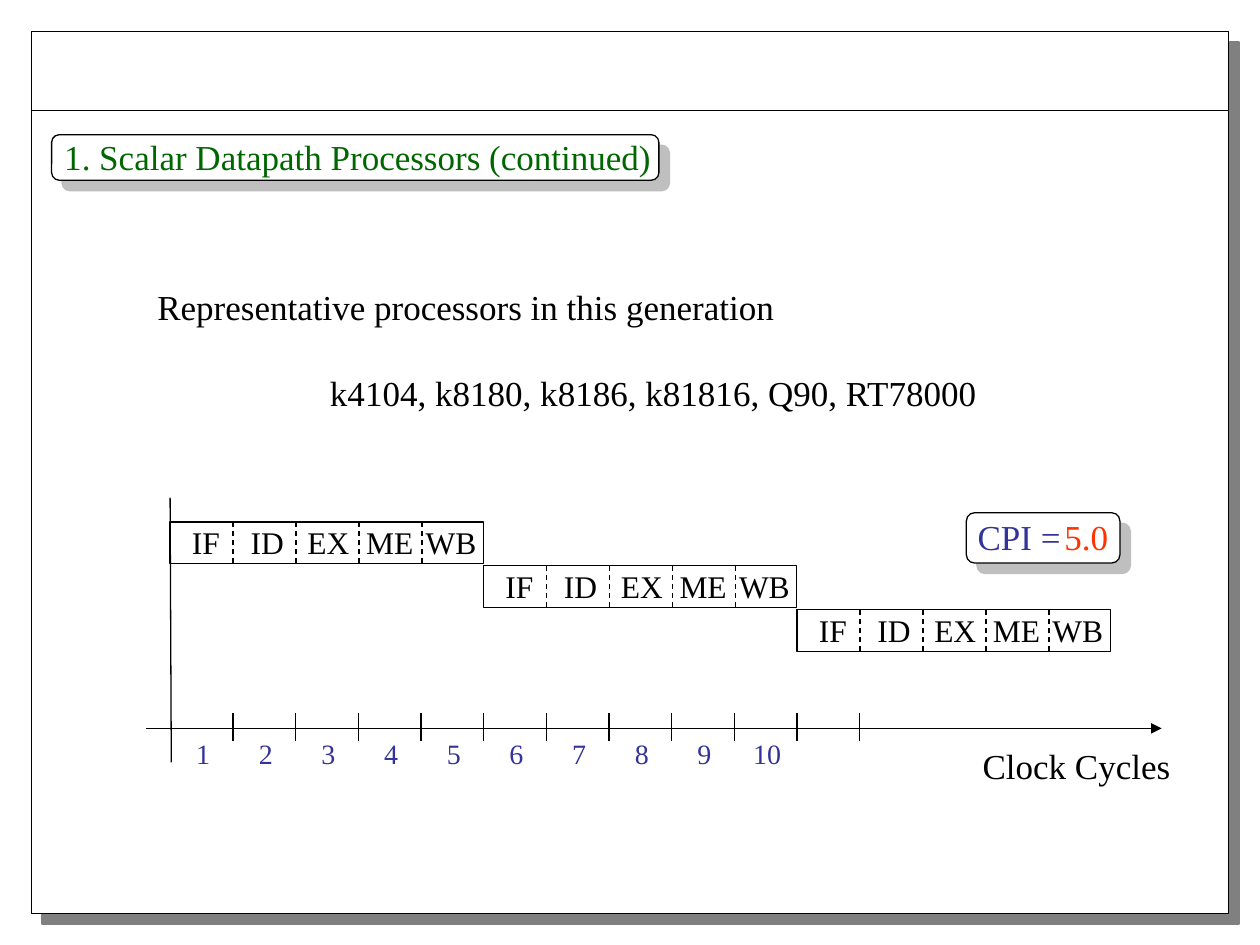
from dataclasses import dataclass

from lxml import etree
from pptx import Presentation
from pptx.dml.color import RGBColor
from pptx.enum import dml, shapes, text
from pptx.oxml import ns
from pptx.util import Pt


@dataclass(frozen=True)
class Theme:
    font: str = "Times New Roman"
    black: str = "000000"
    white: str = "FFFFFF"
    gray: str = "808080"
    green: str = "006600"
    blue: str = "333399"
    red: str = "FF3300"
    body: int = 20
    stage: int = 18
    tick: int = 16
    line: float = 0.75


@dataclass(frozen=True)
class Box:
    left: float
    top: float
    width: float
    height: float


THEME = Theme()
STAGES = ("IF", "ID", "EX", "ME", "WB")
LEFT = text.PP_ALIGN.LEFT
CENTER = text.PP_ALIGN.CENTER
RECTANGLE = shapes.MSO_SHAPE.RECTANGLE
ROUNDED = shapes.MSO_SHAPE.ROUNDED_RECTANGLE


def rgb(color):
    return RGBColor.from_string(color)


def points(*lengths):
    return [Pt(length) for length in lengths]


def format_line(line):
    line.color.rgb = rgb(THEME.black)
    line.width = Pt(THEME.line)


def add_panel(parent, kind, box, shadow_alpha=None):
    panel = parent.add_shape(kind, *points(box.left, box.top, box.width, box.height))
    panel.fill.solid()
    panel.fill.fore_color.rgb = rgb(THEME.white)
    format_line(panel.line)
    panel.shadow.inherit = False
    if shadow_alpha:
        effects = panel.element.spPr.find(ns.qn("a:effectLst"))
        shadow = etree.SubElement(effects, ns.qn("a:outerShdw"), dist=str(Pt(8.5)),
                                  dir="2700000", algn="ctr", rotWithShape="0")
        color = etree.SubElement(shadow, ns.qn("a:srgbClr"), val=THEME.gray)
        etree.SubElement(color, ns.qn("a:alpha"), val=str(shadow_alpha * 1000))
    return panel


def add_line(parent, start, end, dashed=False, arrow=False):
    connector = parent.add_connector(shapes.MSO_CONNECTOR.STRAIGHT, *points(*start, *end))
    format_line(connector.line)
    if dashed:
        connector.line.dash_style = dml.MSO_LINE.DASH
    properties = connector.element.spPr
    if arrow:
        etree.SubElement(properties.find(ns.qn("a:ln")), ns.qn("a:tailEnd"), type="triangle")
    etree.SubElement(properties, ns.qn("a:effectLst"))


def format_paragraph(paragraph, size, color, alignment):
    paragraph.alignment = alignment
    paragraph.font.name = THEME.font
    paragraph.font.size = Pt(size)
    paragraph.font.color.rgb = rgb(color)


def add_label(parent, words, box, size=THEME.body, color=THEME.black, alignment=LEFT):
    label = parent.add_textbox(*points(box.left, box.top, box.width, box.height))
    label.text_frame.word_wrap = True
    label.text_frame.text = words
    format_paragraph(label.text_frame.paragraphs[0], size, color, alignment)
    return label


def build_frame(slide, box):
    add_panel(slide.shapes, RECTANGLE, box, shadow_alpha=100)
    rule = box.top + 45.3
    add_line(slide.shapes, (box.left, rule), (box.left + box.width, rule))


def build_title(slide, box):
    add_panel(slide.shapes, ROUNDED, box, shadow_alpha=50)
    title = slide.shapes.title
    title.left, title.top, title.width, title.height = points(
        box.left, box.top - 3.4, box.width + 10, 31.7)
    frame = title.text_frame
    frame.text = "1. Scalar Datapath Processors (continued)"
    frame.auto_size = text.MSO_AUTO_SIZE.NONE
    frame.vertical_anchor = text.MSO_ANCHOR.TOP
    format_paragraph(frame.paragraphs[0], THEME.body, THEME.green, LEFT)
    title.element.getparent().append(title.element)


def build_processors(slide, box):
    label = add_label(slide.shapes, "Representative processors in this generation", box)
    models = label.text_frame.add_paragraph()
    models.text = "k4104, k8180, k8186, k81816, Q90, RT78000"
    models.space_before = Pt(25)
    format_paragraph(models, THEME.body, THEME.black, LEFT)
    models._p.get_or_add_pPr().set("marL", str(Pt(98.7)))


def build_instruction(slide, box):
    row = slide.shapes.add_group_shape().shapes
    add_panel(row, RECTANGLE, box)
    for index, stage in enumerate(STAGES):
        if index:
            divider = box.left + 36 * index
            add_line(row, (divider, box.top), (divider, box.top + box.height), dashed=True)
        stage_box = Box(box.left - 2 + 35 * index, box.top - 2.6, 45, 29)
        add_label(row, stage, stage_box, THEME.stage, alignment=CENTER)


def build_pipeline(slide, box, count=3):
    for index in range(count):
        build_instruction(slide, Box(box.left + box.width * index,
                                     box.top + 25.1 * index, box.width, box.height))


def build_axes(slide, box, ticks=11, cycles=10):
    parent = slide.shapes
    axis = box.top + 131.8
    pitch = 35.8
    add_line(parent, (box.left + 13.7, box.top), (box.left + 14.4, box.top + box.height))
    add_line(parent, (box.left, axis), (box.left + box.width, axis), arrow=True)
    for index in range(ticks):
        tick = box.left + 49.7 + pitch * index
        add_line(parent, (tick, axis - 8.5), (tick, axis + 7.3))
    for index in range(cycles):
        number_box = Box(box.left + 12.6 + pitch * index, axis + 0.9, 40, 26.6)
        add_label(parent, str(index + 1), number_box, THEME.tick, THEME.blue, CENTER)
    add_label(parent, "Clock Cycles", Box(box.left + 470.9, axis + 5.9, 130, 31.7))


def build_cpi(slide, box):
    group = slide.shapes.add_group_shape().shapes
    add_panel(group, ROUNDED, box, shadow_alpha=50)
    top = box.top - 2.1
    add_label(group, "CPI =", Box(box.left - 0.7, top, 70, 31.7), color=THEME.blue)
    add_label(group, "5.0", Box(box.left + 49, top, 42, 31.7), color=THEME.red)


def main():
    presentation = Presentation()
    presentation.slide_width, presentation.slide_height = points(720, 540)
    slide = presentation.slides.add_slide(presentation.slide_layouts[5])
    build_frame(slide, Box(18, 18, 684, 504))
    build_title(slide, Box(29.5, 77, 347, 26))
    build_processors(slide, Box(82.8, 159.8, 523.4, 79.2))
    build_pipeline(slide, Box(97.2, 298.2, 179.1, 24))
    build_axes(slide, Box(83.5, 284.4, 580.3, 151.2))
    build_cpi(slide, Box(552.2, 293, 87.8, 28.8))
    presentation.save("out.pptx")


if __name__ == "__main__":
    main()
